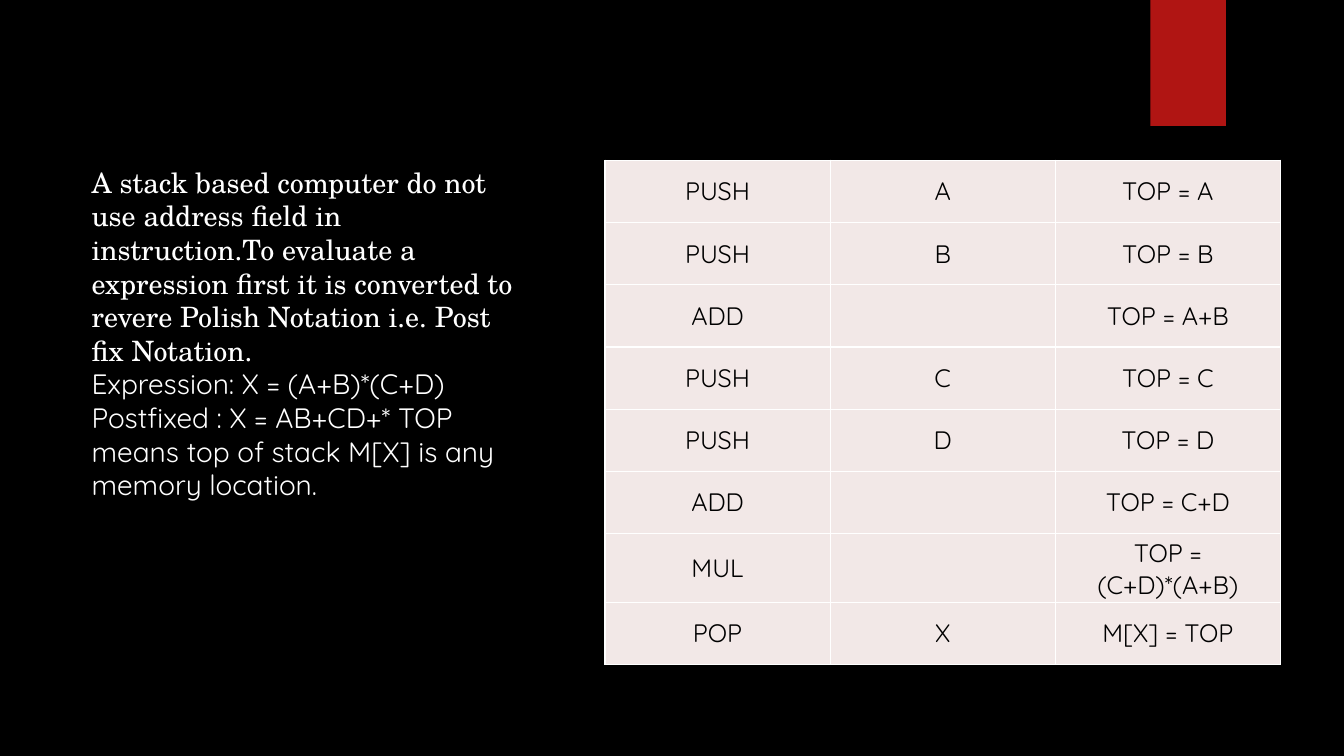
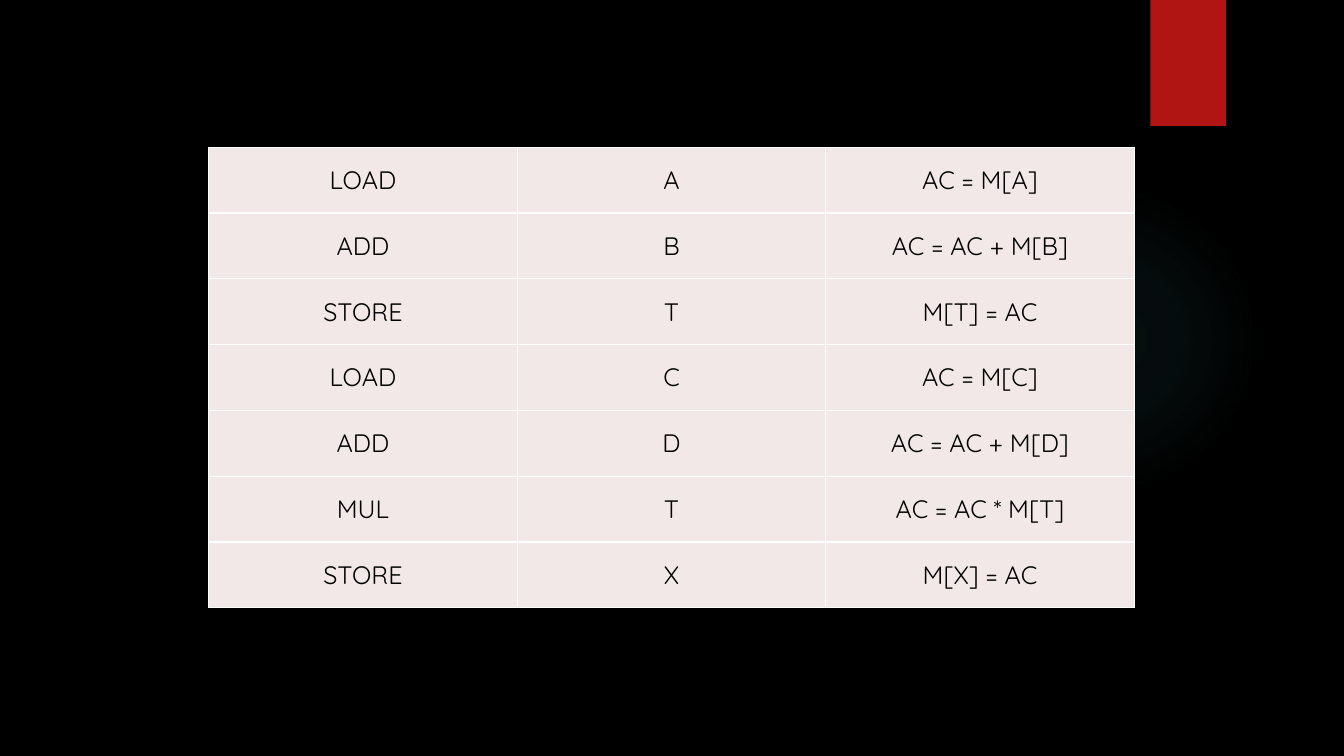
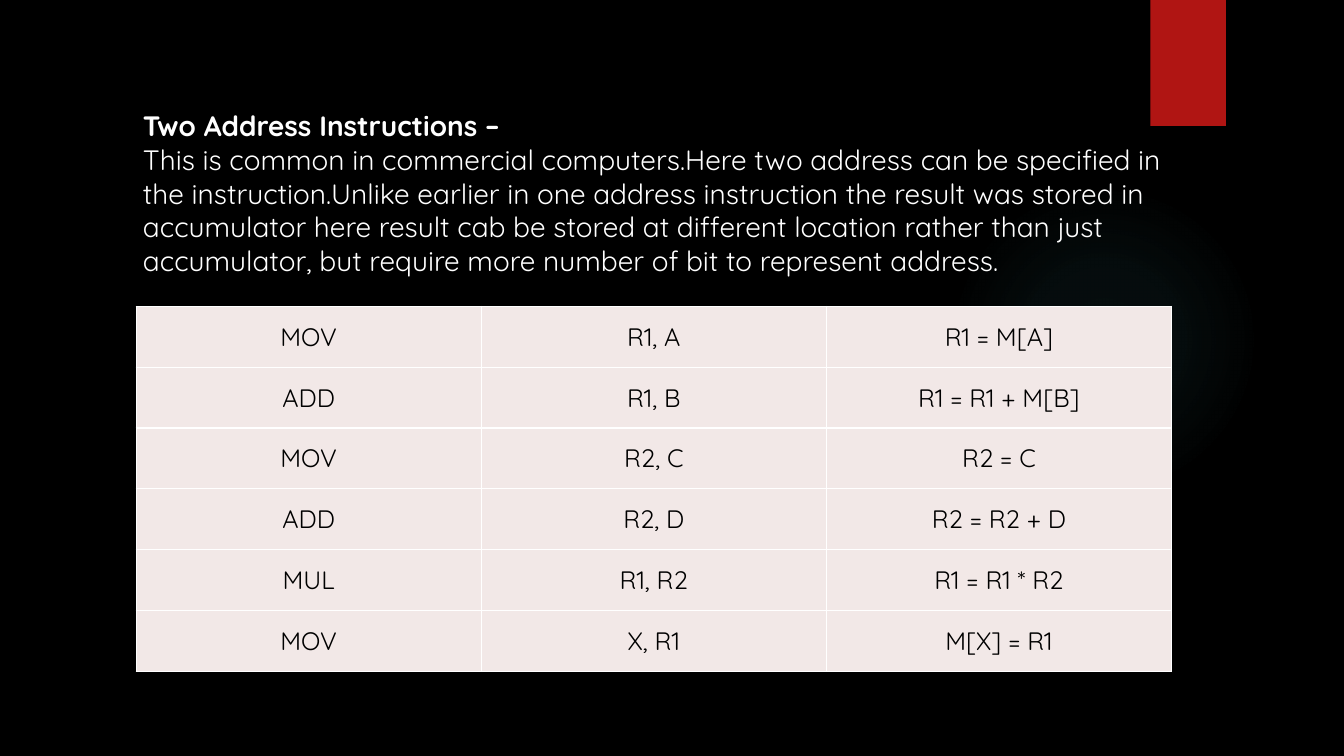
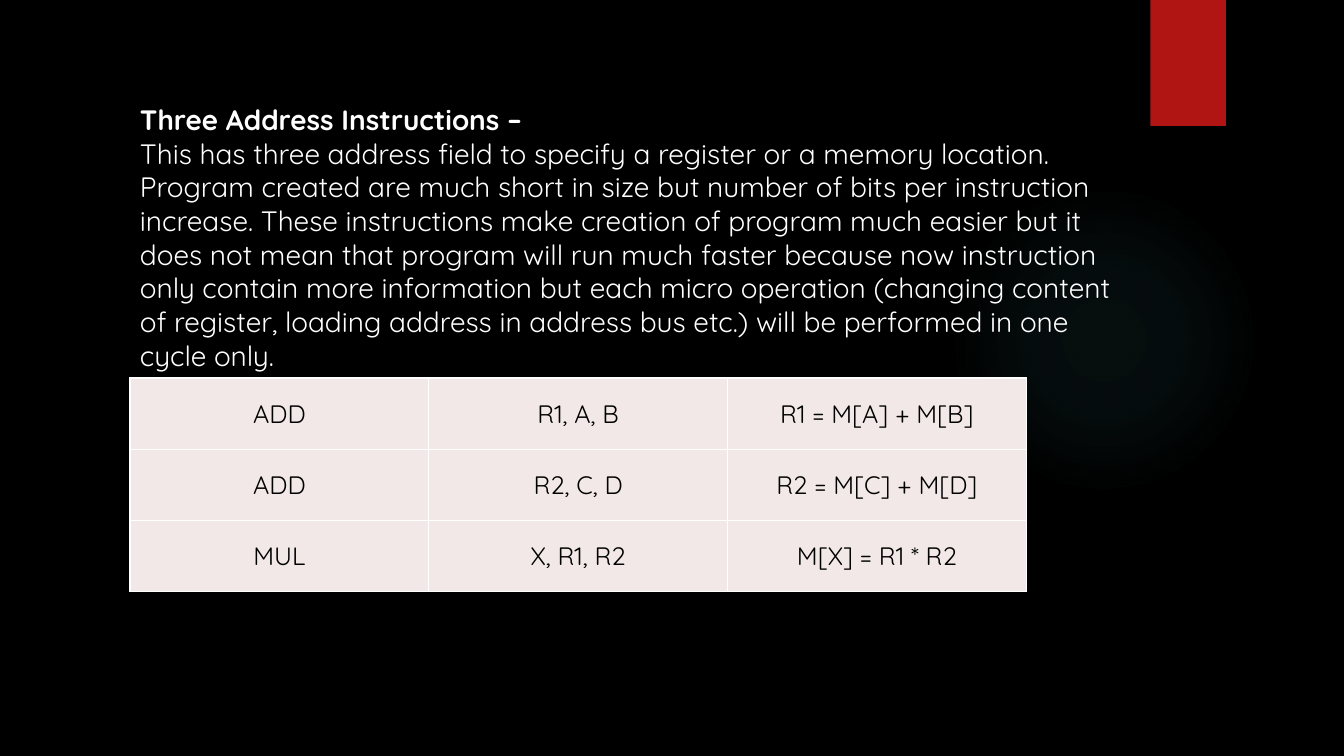
from lxml import etree
from pptx import Presentation
from pptx import util as u
from pptx.dml.color import RGBColor
from pptx.enum import shapes, text
from pptx.oxml import parse_xml
from pptx.oxml.ns import nsdecls, qn

BLACK = RGBColor(0x00, 0x00, 0x00)
WHITE = RGBColor(0xFF, 0xFF, 0xFF)
RED = RGBColor(0xB0, 0x15, 0x13)
TEAL = RGBColor(0x50, 0xB9, 0xC1)
BLUSH = RGBColor(0xF2, 0xE8, 0xE7)
SANS = "Quicksand"
SERIF = "TeX Gyre Schola"

GLOW_STOPS = "".join(
    f'<a:gs pos="{place * 1000}"><a:srgbClr val="{TEAL}">'
    f'<a:alpha val="{alpha * 1000}"/></a:srgbClr></a:gs>'
    for place, alpha in [(0, 7), (36, 6), (69, 0)])
GLOW_FILL = (
    f'<a:gradFill {nsdecls("a")} rotWithShape="1"><a:gsLst>{GLOW_STOPS}</a:gsLst>'
    '<a:path path="circle"><a:fillToRect l="50000" t="50000" r="50000" b="50000"/>'
    '</a:path></a:gradFill>')

# Each slide: text box place, its paragraphs as (text, format), table place, table rows.
SLIDES = [
    ((0.81, 1.59, 4.55, 2.79),
     [("A stack based computer do not use address field in instruction.To evaluate a "
       "expression first it is converted to revere Polish Notation i.e. Post fix Notation.",
       {"font": SERIF}),
      ("Expression: X = (A+B)*(C+D) Postfixed : X = AB+CD+* TOP means top of stack M[X] "
       "is any memory location.", {})],
     (6, 1.59, 6.7, 4.94),
     [("PUSH", "A", "TOP = A"),
      ("PUSH", "B", "TOP = B"),
      ("ADD", "", "TOP = A+B"),
      ("PUSH", "C", "TOP = C"),
      ("PUSH", "D", "TOP = D"),
      ("ADD", "", "TOP = C+D"),
      ("MUL", "", "TOP = (C+D)*(A+B)"),
      ("POP", "X", "M[X] = TOP")]),
    (None, [],
     (2.07, 1.46, 9.18, 4.57),
     [("LOAD", "A", "AC = M[A]"),
      ("ADD", "B", "AC = AC + M[B]"),
      ("STORE", "T", "M[T] = AC"),
      ("LOAD", "C", "AC = M[C]"),
      ("ADD", "D", "AC = AC + M[D]"),
      ("MUL", "T", "AC = AC * M[T]"),
      ("STORE", "X", "M[X] = AC")]),
    ((1.32, 1.03, 10.7, 1.78),
     [("Two Address Instructions –", {"bold": True}),
      ("This is common in commercial computers.Here two address can be specified in the "
       "instruction.Unlike earlier in one address instruction the result was stored in "
       "accumulator here result cab be stored at different location rather than just "
       "accumulator, but require more number of bit to represent address.", {})],
     (1.35, 3.04, 10.27, 3.62),
     [("MOV", "R1, A", "R1 = M[A]"),
      ("ADD", "R1, B", "R1 = R1 + M[B]"),
      ("MOV", "R2, C", "R2 = C"),
      ("ADD", "R2, D", "R2 = R2 + D"),
      ("MUL", "R1, R2", "R1 = R1 * R2"),
      ("MOV", "X, R1", "M[X] = R1")]),
    ((1.29, 0.97, 10.1, 2.46),
     [("Three Address Instructions –", {"bold": True}),
      ("This has three address field to specify a register or a memory location. Program "
       "created are much short in size but number of bits per instruction increase. These "
       "instructions make creation of program much easier but it does not mean that program "
       "will run much faster because now instruction only contain more information but each "
       "micro operation (changing content of register, loading address in address bus etc.) "
       "will be performed in one cycle only.", {})],
     (1.29, 3.75, 8.89, 2.12),
     [("ADD", "R1, A, B", "R1 = M[A] + M[B]"),
      ("ADD", "R2, C, D", "R2 = M[C] + M[D]"),
      ("MUL", "X, R1, R2", "M[X] = R1 * R2")]),
]


def write(para, words, size=20, font=SANS, color=WHITE, bold=False,
          align=text.PP_ALIGN.LEFT):
    para.alignment = align
    span = para.add_run()
    span.text = words
    span.font.size = u.Pt(size)
    span.font.name = font
    span.font.color.rgb = color
    span.font.bold = bold


def style_cell(cell):
    """Give a cell white 1 pt borders, the blush fill and centred height."""
    cell.vertical_anchor = text.MSO_ANCHOR.MIDDLE
    cell.margin_top = cell.margin_bottom = u.Inches(0.04)
    properties = cell._tc.get_or_add_tcPr()
    for side in ("a:lnL", "a:lnR", "a:lnT", "a:lnB"):
        border = etree.SubElement(properties, qn(side), w=str(u.Pt(1)))
        fill = etree.SubElement(border, qn("a:solidFill"))
        etree.SubElement(fill, qn("a:srgbClr"), val=str(WHITE))
    cell.fill.solid()
    cell.fill.fore_color.rgb = BLUSH


deck = Presentation()
deck.slide_width = u.Inches(13.33)
deck.slide_height = u.Inches(7.5)
backdrop = deck.slide_master.background.fill
backdrop.solid()
backdrop.fore_color.rgb = BLACK

for box_place, paragraphs, table_place, rows in SLIDES:
    page = deck.slides.add_slide(deck.slide_layouts[6])

    glow = page.shapes.add_shape(shapes.MSO_SHAPE.OVAL, u.Inches(9.41), u.Inches(1.83),
                                 u.Inches(3.08), u.Inches(3.08))
    glow.shadow.inherit = False
    glow.line.fill.background()
    glow._element.spPr.find(qn("a:prstGeom")).addnext(parse_xml(GLOW_FILL))

    tab = page.shapes.add_shape(shapes.MSO_SHAPE.RECTANGLE, u.Inches(11.41), 0,
                                u.Inches(0.75), u.Inches(1.25))
    tab.shadow.inherit = False
    tab.line.fill.background()
    tab.fill.solid()
    tab.fill.fore_color.rgb = RED

    if box_place:
        frame = page.shapes.add_textbox(*map(u.Inches, box_place)).text_frame
        frame.word_wrap = True
        frame.auto_size = text.MSO_AUTO_SIZE.SHAPE_TO_FIT_TEXT
        for index, (words, look) in enumerate(paragraphs):
            para = frame.add_paragraph() if index else frame.paragraphs[0]
            write(para, words, **look)

    table = page.shapes.add_table(len(rows), 3, *map(u.Inches, table_place)).table
    for row_index, row in enumerate(rows):
        for column_index, words in enumerate(row):
            cell = table.cell(row_index, column_index)
            style_cell(cell)
            if words:
                write(cell.text_frame.paragraphs[0], words, size=18, color=BLACK,
                      align=text.PP_ALIGN.CENTER)

deck.save("out.pptx")
